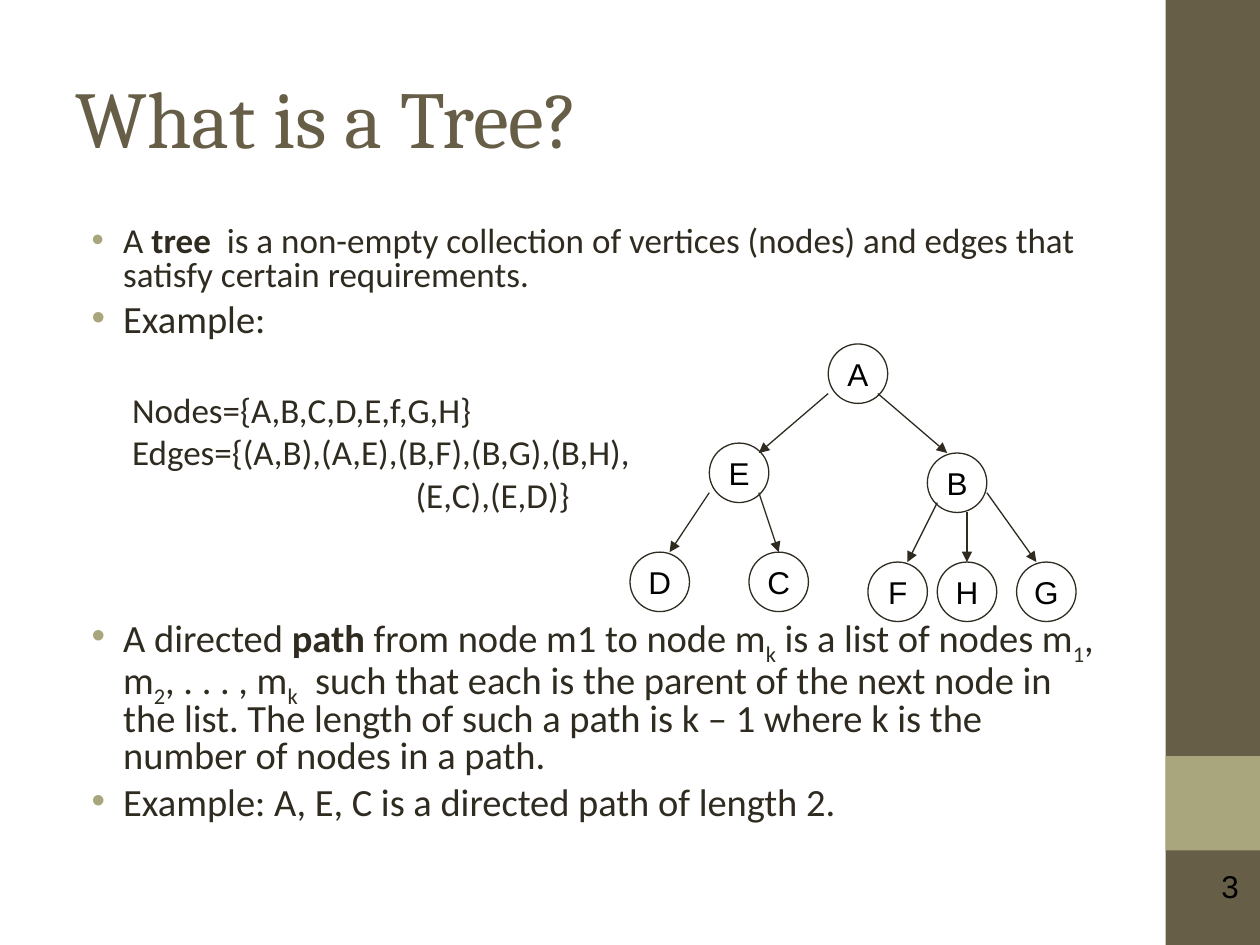
from dataclasses import dataclass

from lxml import etree
from pptx import Presentation
from pptx.dml.color import RGBColor
from pptx.enum.shapes import MSO_CONNECTOR, MSO_SHAPE
from pptx.enum.text import MSO_ANCHOR, PP_ALIGN
from pptx.oxml.ns import qn
from pptx.util import Inches, Pt

RECTANGLE, OVAL = MSO_SHAPE.RECTANGLE, MSO_SHAPE.OVAL
STRAIGHT = MSO_CONNECTOR.STRAIGHT
LEFT, CENTER, RIGHT = PP_ALIGN.LEFT, PP_ALIGN.CENTER, PP_ALIGN.RIGHT
MIDDLE = MSO_ANCHOR.MIDDLE
TITLE_ONLY = 5


@dataclass(frozen=True)
class Theme:
    brown: str = "675E47"
    olive: str = "A9A57C"
    ink: str = "2F2B20"
    black: str = "000000"
    heading_font: str = "Cambria"
    body_font: str = "Calibri"
    label_font: str = "Arial"
    title_size: int = 46
    body_size: int = 22
    small_size: int = 20
    label_size: int = 18
    line_width: float = 0.75


THEME = Theme()

PLAIN, BOLD, SUBSCRIPT = "plain", "bold", "subscript"
BULLET_INDENT = (0.38, -0.25)
CODE_INDENT = (0.7, -0.25)
CONTINUED_INDENT = (2.7, 0)

# Each entry: indent, bulleted, type size, space before, spans.
BODY = [
    (BULLET_INDENT, True, THEME.small_size, 0, [
        ("A ", PLAIN), ("tree", BOLD),
        ("  is a non-empty collection of vertices (nodes) and edges that "
         "satisfy certain requirements.", PLAIN)]),
    (BULLET_INDENT, True, THEME.body_size, 5.5, [("Example:", PLAIN)]),
    (CODE_INDENT, False, THEME.small_size, 32, [("Nodes={A,B,C,D,E,f,G,H}", PLAIN)]),
    (CODE_INDENT, False, THEME.small_size, 5,
     [("Edges={(A,B),(A,E),(B,F),(B,G),(B,H),", PLAIN)]),
    (CONTINUED_INDENT, False, THEME.small_size, 5, [("(E,C),(E,D)}", PLAIN)]),
    (BULLET_INDENT, True, THEME.body_size, 59.5, [
        ("A directed ", PLAIN), ("path", BOLD),
        (" from node m1 to node m", PLAIN), ("k", SUBSCRIPT),
        (" is a list of nodes m", PLAIN), ("1", SUBSCRIPT),
        (", m", PLAIN), ("2", SUBSCRIPT),
        (", . . . , m", PLAIN), ("k", SUBSCRIPT),
        ("  such that each is the parent of the next node in the list. "
         "The length of such a path is k – 1 where k is the number of nodes "
         "in a path.", PLAIN)]),
    (BULLET_INDENT, True, THEME.body_size, 5.5,
     [("Example: A, E, C is a directed path of length 2.", PLAIN)]),
]

TREE_COLUMNS = 45
NODE_UNITS = 6
NODES = {
    "A": (20, 0), "B": (30, 11), "E": (8, 10), "C": (12, 21),
    "D": (0, 21), "F": (24, 22), "H": (31, 22), "G": (39, 22),
}
EDGES = [
    ((25, 5), (32, 11)), ((20, 5), (13, 11)),
    ((8, 15), (4, 21)), ((13, 15), (15, 21)),
    ((31, 16), (28, 22)), ((34, 17), (34, 22)), ((36, 15), (41, 22)),
]


def color(value):
    return RGBColor.from_string(value)


def style_font(font, name, size, value):
    font.name, font.size = name, Pt(size)
    font.color.rgb = color(value)


def add_bullet(para):
    properties = para._p.get_or_add_pPr()
    tint = etree.SubElement(properties, qn("a:buClr"))
    etree.SubElement(tint, qn("a:srgbClr"), val=THEME.olive)
    etree.SubElement(properties, qn("a:buFont"), typeface="Arial")
    etree.SubElement(properties, qn("a:buChar"), char="•")


def add_sidebar(page, left, top, width, height):
    bands = [(top, height, THEME.brown),
             (top + Inches(6), Inches(0.75), THEME.olive)]
    for band_top, band_height, fill in bands:
        band = page.shapes.add_shape(RECTANGLE, left, band_top, width, band_height)
        band.shadow.inherit = False
        band.fill.solid()
        band.fill.fore_color.rgb = color(fill)
        band.line.fill.background()


def add_page_number(page, left, top, width, height):
    box = page.shapes.add_textbox(left, top, width, height)
    box.text_frame.text = "3"
    box.text_frame.word_wrap = True
    para = box.text_frame.paragraphs[0]
    para.alignment = RIGHT
    style_font(para.runs[0].font, THEME.label_font, THEME.label_size, THEME.black)


def place_title(page, left, top, width, height):
    title = page.shapes.title
    title.left, title.top, title.width, title.height = left, top, width, height
    title.text_frame.text = "What is a Tree?"
    title.text_frame.vertical_anchor = MIDDLE
    para = title.text_frame.paragraphs[0]
    para.alignment = LEFT
    style_font(para.runs[0].font, THEME.heading_font, THEME.title_size, THEME.brown)


def add_body(page, left, top, width, height):
    frame = page.shapes.add_textbox(left, top, width, height).text_frame
    frame.word_wrap = True
    for index, (indent, bulleted, size, space, spans) in enumerate(BODY):
        para = frame.add_paragraph() if index else frame.paragraphs[0]
        para.level = 0 if bulleted else 1
        para.line_spacing = 0.8
        para.space_before = Pt(space)
        margin, hanging = indent
        properties = para._p.get_or_add_pPr()
        properties.set("marL", str(Inches(margin)))
        properties.set("indent", str(Inches(hanging)))
        if bulleted:
            add_bullet(para)
        for text, style in spans:
            span = para.add_run()
            span.text = text
            style_font(span.font, THEME.body_font, size, THEME.ink)
            span.font.bold = style == BOLD
            if style == SUBSCRIPT:
                span._r.get_or_add_rPr().set("baseline", "-25000")


def style_line(line):
    line.color.rgb = color(THEME.ink)
    line.width = Pt(THEME.line_width)


def add_node(group, label, left, top, size):
    node = group.shapes.add_shape(OVAL, left, top, size, size)
    node.shadow.inherit = False
    node.fill.background()
    style_line(node.line)
    frame = node.text_frame
    frame.text = label
    frame.word_wrap = False
    frame.vertical_anchor = MIDDLE
    para = frame.paragraphs[0]
    para.alignment = CENTER
    style_font(para.runs[0].font, THEME.label_font, THEME.label_size, THEME.black)


def add_arrow(group, start, end):
    arrow = group.shapes.add_connector(STRAIGHT, *start, *end)
    style_line(arrow.line)
    etree.SubElement(arrow.line._get_or_add_ln(), qn("a:tailEnd"), type="triangle")
    etree.SubElement(arrow._element.spPr, qn("a:effectLst"))


def add_tree(page, left, top, width):
    unit = width / TREE_COLUMNS

    def locate(point):
        column, row = point
        return round(left + column * unit), round(top + row * unit)

    group = page.shapes.add_group_shape()
    for label, point in NODES.items():
        add_node(group, label, *locate(point), round(NODE_UNITS * unit))
    for start, end in EDGES:
        add_arrow(group, locate(start), locate(end))


def main():
    deck = Presentation()
    deck.slide_width, deck.slide_height = Inches(10), Inches(7.5)
    page = deck.slides.add_slide(deck.slide_layouts[TITLE_ONLY])
    add_sidebar(page, Inches(9.25), 0, Inches(0.75), deck.slide_height)
    add_page_number(page, Inches(8.59), Inches(6.83), Inches(1.34), Inches(0.4))
    place_title(page, Inches(0.5), Inches(0.3), Inches(8.33), Inches(1.25))
    add_body(page, Inches(0.5), Inches(1.75), Inches(8.33), Inches(5.25))
    add_tree(page, Inches(5), Inches(2.73), Inches(3.54))
    deck.save("out.pptx")


if __name__ == "__main__":
    main()
